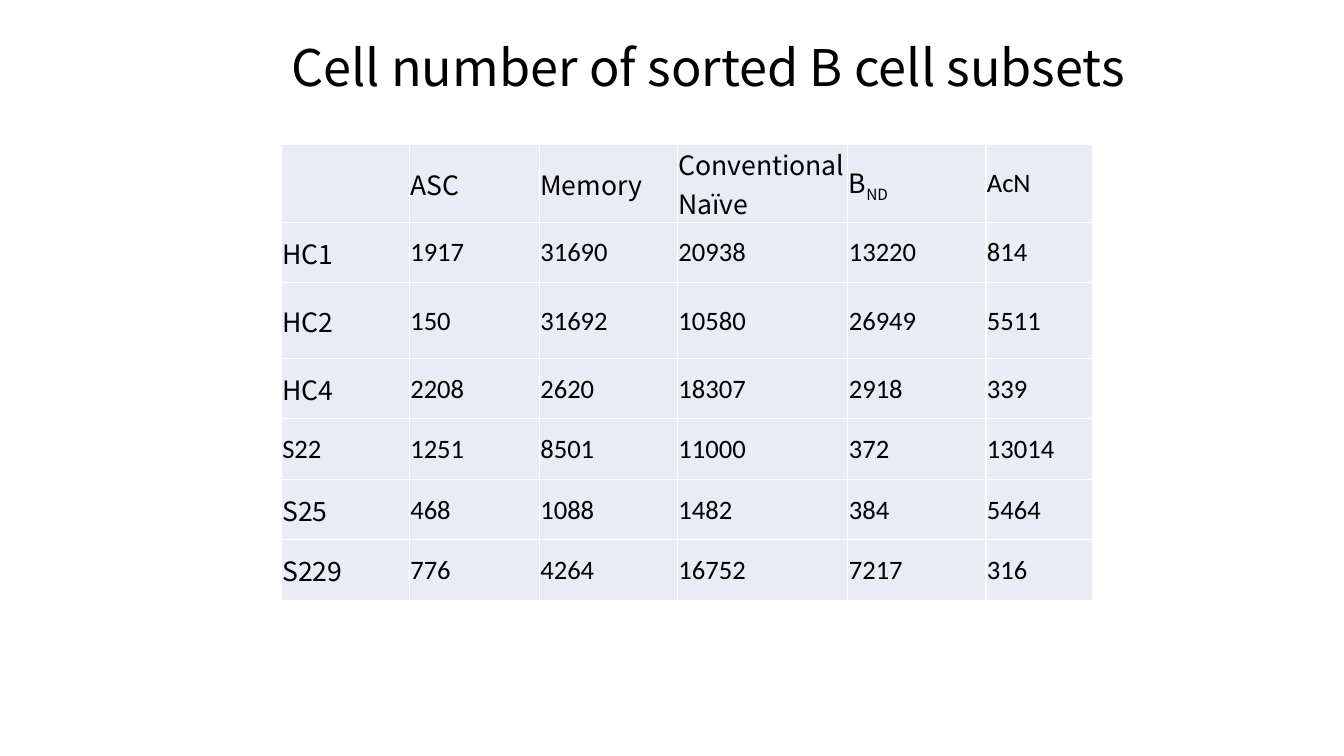
from lxml import etree
from pptx import Presentation
from pptx.dml.color import RGBColor
from pptx.enum.text import MSO_ANCHOR
from pptx.oxml.ns import qn
from pptx.util import Inches, Pt

MIDDLE = MSO_ANCHOR.MIDDLE
COLORS = {"text": "000000", "cell": "E9EBF5", "border": "FFFFFF"}
LABEL_FONT = "Noto Sans CJK SC"
NUMBER_FONT = "Calibri"
CALIBRI_LABELS = ("AcN", "S22")

COLUMN_WIDTHS = [1.27, 1.29, 1.37, 1.69, 1.37, 1.06]
ROW_HEIGHTS = [0.6, 0.6, 0.75, 0.6, 0.6, 0.6, 0.6]
CELL_COUNTS = [
    ["", "ASC", "Memory", "Conventional Naïve", "B", "AcN"],
    ["HC1", "1917", "31690", "20938", "13220", "814"],
    ["HC2", "150", "31692", "10580", "26949", "5511"],
    ["HC4", "2208", "2620", "18307", "2918", "339"],
    ["S22", "1251", "8501", "11000", "372", "13014"],
    ["S25", "468", "1088", "1482", "384", "5464"],
    ["S229", "776", "4264", "16752", "7217", "316"],
]


def style_font(paragraph, name, size):
    paragraph.font.name = name
    paragraph.font.size = Pt(size)
    paragraph.font.color.rgb = RGBColor.from_string(COLORS["text"])


def add_borders(cell):
    properties = cell._tc.get_or_add_tcPr()
    for side in ("lnL", "lnR", "lnT", "lnB"):
        line = etree.SubElement(properties, qn(f"a:{side}"), w=str(Pt(1)))
        fill = etree.SubElement(line, qn("a:solidFill"))
        etree.SubElement(fill, qn("a:srgbClr"), val=COLORS["border"])


presentation = Presentation()
presentation.slide_width = Inches(13.33)
presentation.slide_height = Inches(7.5)
slide = presentation.slides.add_slide(presentation.slide_layouts[6])

# Table of cell counts
table = slide.shapes.add_table(
    len(ROW_HEIGHTS), len(COLUMN_WIDTHS), Inches(2.79), Inches(1.43),
    Inches(sum(COLUMN_WIDTHS)), Inches(sum(ROW_HEIGHTS))).table
table.first_row = False
table.horz_banding = False
for column, width in zip(table.columns, COLUMN_WIDTHS):
    column.width = Inches(width)
for row, height in zip(table.rows, ROW_HEIGHTS):
    row.height = Inches(height)

for row_index, values in enumerate(CELL_COUNTS):
    for column_index, value in enumerate(values):
        cell = table.cell(row_index, column_index)
        add_borders(cell)
        cell.fill.solid()
        cell.fill.fore_color.rgb = RGBColor.from_string(COLORS["cell"])
        cell.vertical_anchor = MIDDLE
        cell.margin_left = cell.margin_right = cell.margin_top = Inches(0.01)
        cell.margin_bottom = 0
        is_label = row_index == 0 or column_index == 0
        use_label_font = is_label and value not in CALIBRI_LABELS
        paragraph = cell.text_frame.paragraphs[0]
        if value:
            paragraph.add_run().text = value
        style_font(paragraph, LABEL_FONT if use_label_font else NUMBER_FONT, 19)

# Subscript in the B-ND heading
subscript = table.cell(0, 4).text_frame.paragraphs[0].add_run()
subscript.text = "ND"
subscript.font._element.set("baseline", "-25000")

# Title
title = slide.shapes.add_textbox(Inches(2.79), Inches(0.13), Inches(10), Inches(1.14))
title.text_frame.word_wrap = True
title.text_frame.vertical_anchor = MIDDLE
paragraph = title.text_frame.paragraphs[0]
paragraph.text = "Cell number of sorted B cell subsets"
paragraph.line_spacing = 0.9
style_font(paragraph, LABEL_FONT, 40 * 0.9)

presentation.save("out.pptx")
